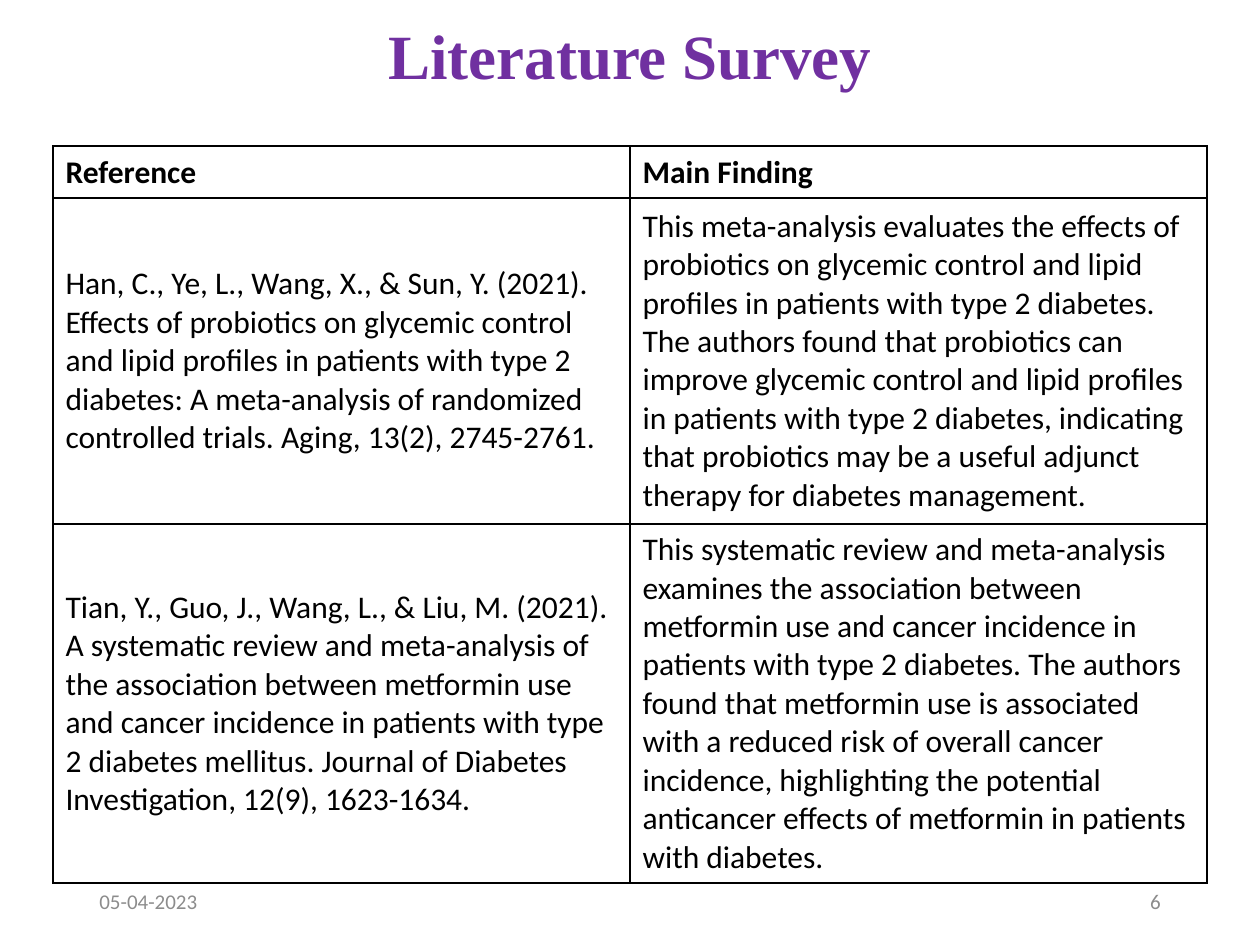
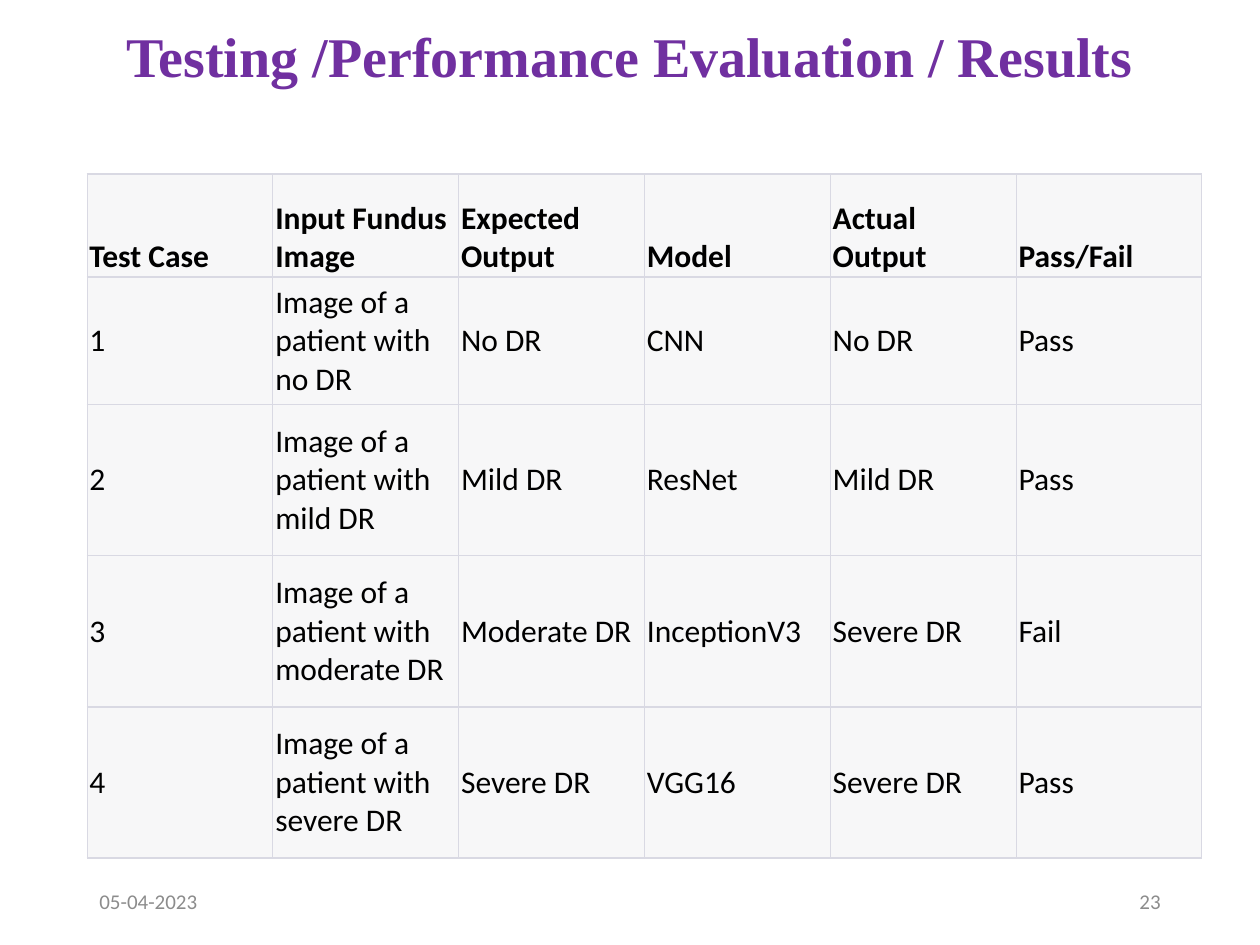
from dataclasses import dataclass

from lxml.etree import SubElement
from pptx import Presentation
from pptx.dml.color import RGBColor
from pptx.enum.text import MSO_ANCHOR, PP_ALIGN
from pptx.oxml.ns import qn
from pptx.util import Inches, Pt


@dataclass(frozen=True)
class Theme:
    """Colours, fonts and type sizes of the deck."""
    title_font: str = "Times New Roman"
    body_font: str = "Calibri"
    title_colour: str = "7030A0"
    ink: str = "000000"
    footer_colour: str = "8C8C8C"
    pale_fill: str = "F7F7F8"
    pale_line: str = "D9D9E3"
    body_size: int = 18
    footer_size: int = 12


@dataclass(frozen=True)
class TableLook:
    """Border, fill and cell margins of one table."""
    line: str
    side_width: float
    level_width: float
    fill: str | None
    margins: tuple


THEME = Theme()
PLAIN = TableLook(THEME.ink, 1, 1, None, (1, 0.5))
SHADED = TableLook(THEME.pale_line, 0.6, 1, THEME.pale_fill, (0.2, 0.1))

GRID_COLUMNS, GRID_ROWS = 100, 75
SIDE = 6.9
FOOTER_TOP, FOOTER_WIDTH, FOOTER_HEIGHT = 69.5, 22.5, 4
DATE = "05-04-2023"

SURVEY = [
    ("Reference", "Main Finding"),
    ("Han, C., Ye, L., Wang, X., & Sun, Y. (2021). Effects of probiotics on "
     "glycemic control and lipid profiles in patients with type 2 diabetes: "
     "A meta-analysis of randomized controlled trials. Aging, 13(2), 2745-2761.",
     "This meta-analysis evaluates the effects of probiotics on glycemic control "
     "and lipid profiles in patients with type 2 diabetes. The authors found that "
     "probiotics can improve glycemic control and lipid profiles in patients with "
     "type 2 diabetes, indicating that probiotics may be a useful adjunct therapy "
     "for diabetes management."),
    ("Tian, Y., Guo, J., Wang, L., & Liu, M. (2021). A systematic review and "
     "meta-analysis of the association between metformin use and cancer incidence "
     "in patients with type 2 diabetes mellitus. Journal of Diabetes "
     "Investigation, 12(9), 1623-1634.",
     "This systematic review and meta-analysis examines the association between "
     "metformin use and cancer incidence in patients with type 2 diabetes. The "
     "authors found that metformin use is associated with a reduced risk of "
     "overall cancer incidence, highlighting the potential anticancer effects of "
     "metformin in patients with diabetes."),
]

TESTS = [
    ("Test Case", "Input Fundus Image", "Expected Output", "Model",
     "Actual Output", "Pass/Fail"),
    ("1", "Image of a patient with no DR", "No DR", "CNN", "No DR", "Pass"),
    ("2", "Image of a patient with mild DR", "Mild DR", "ResNet", "Mild DR", "Pass"),
    ("3", "Image of a patient with moderate DR", "Moderate DR", "InceptionV3",
     "Severe DR", "Fail"),
    ("4", "Image of a patient with severe DR", "Severe DR", "VGG16", "Severe DR",
     "Pass"),
]


def grid(units):
    """Turn grid units into a length."""
    return Inches(units * 10 / GRID_COLUMNS)


def style(para, font, size, colour, bold=False):
    """Format every run of a paragraph."""
    for span in para.runs:
        span.font.name = font
        span.font.size = Pt(size)
        span.font.bold = bold
        span.font.color.rgb = RGBColor.from_string(colour)


def add_text(page, text, left, top, width, height, align):
    """Add a wrapped, vertically centred text box and return its paragraph."""
    box = page.shapes.add_textbox(grid(left), grid(top), grid(width), grid(height))
    frame = box.text_frame
    frame.word_wrap = True
    frame.vertical_anchor = MSO_ANCHOR.MIDDLE
    frame.text = text
    para = frame.paragraphs[0]
    para.alignment = align
    return para


def add_title(page, text, size):
    """Add the centred slide title."""
    para = add_text(page, text, SIDE, 1.8, GRID_COLUMNS - 2 * SIDE, 5.8,
                    PP_ALIGN.CENTER)
    para.line_spacing = 0.9
    style(para, THEME.title_font, size, THEME.title_colour, bold=True)


def add_footer(page, number):
    """Add the date on the left and the page number on the right."""
    right = GRID_COLUMNS - SIDE - FOOTER_WIDTH
    for text, left, align in ((DATE, SIDE, PP_ALIGN.LEFT),
                              (str(number), right, PP_ALIGN.RIGHT)):
        para = add_text(page, text, left, FOOTER_TOP, FOOTER_WIDTH, FOOTER_HEIGHT,
                        align)
        style(para, THEME.body_font, THEME.footer_size, THEME.footer_colour)


def add_borders(cell, look):
    """Draw the four borders of a cell."""
    properties = cell._tc.get_or_add_tcPr()
    widths = {"L": look.side_width, "R": look.side_width,
              "T": look.level_width, "B": look.level_width}
    for position, (side, width) in enumerate(widths.items()):
        line = SubElement(properties, qn(f"a:ln{side}"), w=str(Pt(width)))
        fill = SubElement(line, qn("a:solidFill"))
        SubElement(fill, qn("a:srgbClr"), val=look.line)
        properties.insert(position, line)


def fill_cell(cell, text, look, header):
    """Write and format one table cell."""
    cell.text = text
    cell.vertical_anchor = MSO_ANCHOR.BOTTOM if header else MSO_ANCHOR.MIDDLE
    across, down = look.margins
    cell.margin_left = cell.margin_right = grid(across)
    cell.margin_top = cell.margin_bottom = grid(down)
    style(cell.text_frame.paragraphs[0], THEME.body_font, THEME.body_size,
          THEME.ink, bold=header)
    if look.fill:
        cell.fill.solid()
        cell.fill.fore_color.rgb = RGBColor.from_string(look.fill)
    else:
        cell.fill.background()
    add_borders(cell, look)


def add_grid_table(page, records, left, top, width, heights, look):
    """Add a table with equal columns and a header row."""
    count = len(records[0])
    table = page.shapes.add_table(len(records), count, grid(left), grid(top),
                                  grid(width), grid(sum(heights))).table
    table.horz_banding = False
    for column in table.columns:
        column.width = grid(width / count)
    for index, (record, height) in enumerate(zip(records, heights)):
        table.rows[index].height = grid(height)
        for position, text in enumerate(record):
            fill_cell(table.cell(index, position), text, look, header=index == 0)


def add_page(deck, title, title_size, number):
    """Add a blank page with title and footer."""
    page = deck.slides.add_slide(deck.slide_layouts[6])
    add_title(page, title, title_size)
    add_footer(page, number)
    return page


def main():
    """Build and save the deck."""
    deck = Presentation()
    deck.slide_width, deck.slide_height = grid(GRID_COLUMNS), grid(GRID_ROWS)

    survey = add_page(deck, "Literature Survey", 36, 6)
    add_grid_table(survey, SURVEY, 4.2, 11.6, 91.6, (4.1, 25.9, 28.5), PLAIN)

    results = add_page(deck, "Testing /Performance Evaluation / Results", 32, 23)
    add_grid_table(results, TESTS, SIDE, 13.8, 88.5, (8.2, 10.1, 12, 12, 12), SHADED)

    deck.save("out.pptx")


if __name__ == "__main__":
    main()
